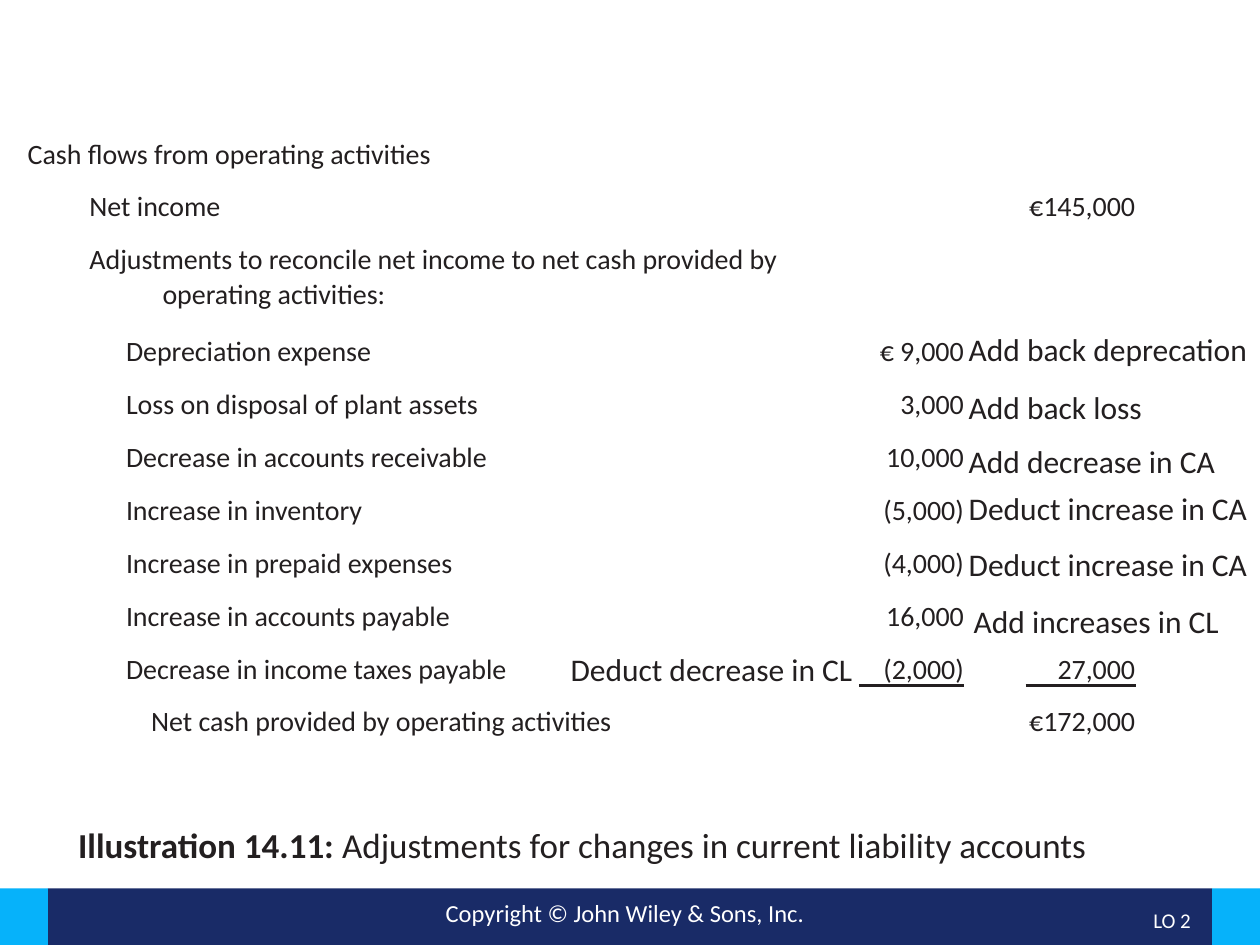
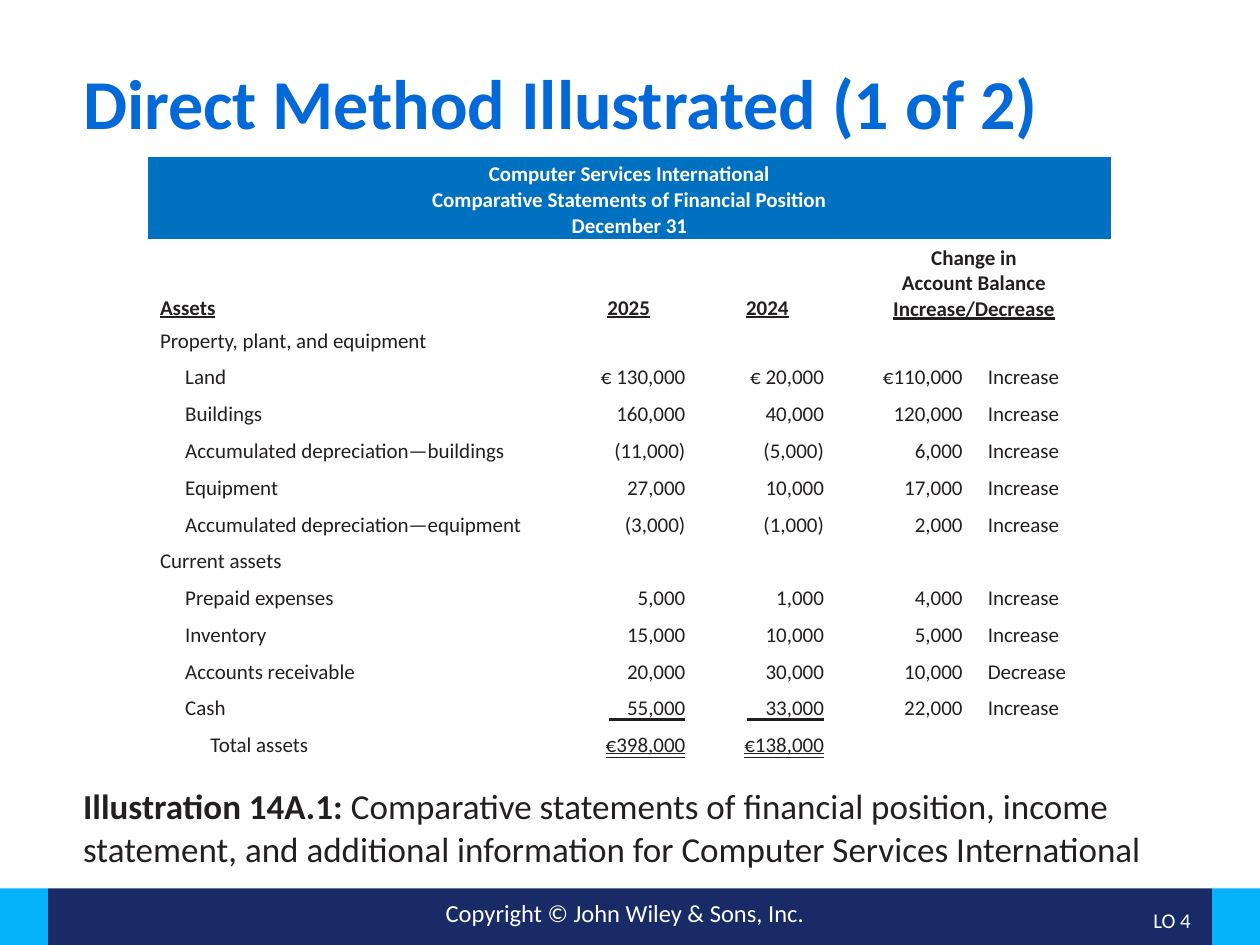
from lxml import etree
from pptx import Presentation
from pptx.dml.color import RGBColor
from pptx.enum import shapes, text
from pptx.oxml.ns import qn
from pptx.util import Inches, Pt

NAVY = RGBColor(0x19, 0x2B, 0x67)
CYAN = RGBColor(0x06, 0xB2, 0xFA)
BLUE = RGBColor(0x04, 0x69, 0xD8)
HEAD = RGBColor(0x00, 0x70, 0xC0)
INK = RGBColor(0x23, 0x1F, 0x20)
WHITE = RGBColor(0xFF, 0xFF, 0xFF)
FONT = "Calibri"
LEFT, MID, RIGHT = text.PP_ALIGN.LEFT, text.PP_ALIGN.CENTER, text.PP_ALIGN.RIGHT
TOP, CENTER, BOTTOM = (text.MSO_ANCHOR.TOP, text.MSO_ANCHOR.MIDDLE,
                       text.MSO_ANCHOR.BOTTOM)

# Shared content
COPY = "Copyright © John Wiley & Sons, Inc."
BANDS = [(0.38, 9.24, NAVY), (0, 0.38, CYAN), (9.62, 0.38, CYAN)]

# Cash flow content: margin and first-line indent, then the cells
ITEM = (0, 0.78)
FLOWS = [
    ((0, 0), "Cash flows from operating activities", "", ""),
    ((0, 0.49), "Net income", "", "€145,000"),
    ((1.07, -0.58), "Adjustments to reconcile net income to net cash "
     "provided by operating activities:", "", ""),
    (ITEM, "Depreciation expense", "€ 9,000", ""),
    (ITEM, "Loss on disposal of plant assets", "3,000", ""),
    (ITEM, "Decrease in accounts receivable", "10,000", ""),
    (ITEM, "Increase in inventory", "(5,000)", ""),
    (ITEM, "Increase in prepaid expenses", "(4,000)", ""),
    (ITEM, "Increase in accounts payable", "16,000", ""),
    (ITEM, "Decrease in income taxes payable", "(2,000)", "27,000"),
    ((0, 0.98), "Net cash provided by operating activities", "", "€172,000"),
]
NOTES = [
    (7.59, 2.57, "Add back deprecation"),
    (7.59, 3.03, "Add back loss"),
    (7.59, 3.46, "Add decrease in CA"),
    (7.59, 3.83, "Deduct increase in CA"),
    (7.59, 4.28, "Deduct increase in CA"),
    (7.63, 4.73, "Add increases in CL"),
    (4.43, 5.11, "Deduct decrease in CL"),
]

# Financial position content
BANNER = ("Computer Services International\n"
          "Comparative Statements of Financial Position\nDecember 31")
HEADS = ["Assets", "2025", "2024",
         "Change in\nAccount Balance\nIncrease/Decrease"]
ASSETS = [
    (0, "Property, plant, and equipment", "", "", "", ""),
    (0.2, "Land", "€ 130,000", "€ 20,000", "€110,000", "Increase"),
    (0.2, "Buildings", "160,000", "40,000", "120,000", "Increase"),
    (0.2, "Accumulated depreciation—buildings", "(11,000)", "(5,000)",
     "6,000", "Increase"),
    (0.2, "Equipment", "27,000", "10,000", "17,000", "Increase"),
    (0.2, "Accumulated depreciation—equipment", "(3,000)", "(1,000)",
     "2,000", "Increase"),
    (0, "Current assets", "", "", "", ""),
    (0.2, "Prepaid expenses", "5,000", "1,000", "4,000", "Increase"),
    (0.2, "Inventory", "15,000", "10,000", "5,000", "Increase"),
    (0.2, "Accounts receivable", "20,000", "30,000", "10,000", "Decrease"),
    (0.2, "Cash", "55,000", "33,000", "22,000", "Increase"),
    (0.4, "Total assets", "€398,000", "€138,000", "", ""),
]


def style(par, size, color=INK, bold=False, align=LEFT):
    par.alignment = align
    for run in par.runs:
        font = run.font
        font.name, font.size, font.bold = FONT, Pt(size), bold
        font.color.rgb = color


def indent(par, left, first=0):
    props = par._p.get_or_add_pPr()
    props.set("marL", str(Inches(left)))
    props.set("indent", str(Inches(first)))


def place(shape, x, y, w, h):
    shape.left, shape.top = Inches(x), Inches(y)
    shape.width, shape.height = Inches(w), Inches(h)


def label(slide, x, y, w, h, words, size, color=INK, align=LEFT, anchor=TOP):
    frame = slide.shapes.add_textbox(
        Inches(x), Inches(y), Inches(w), Inches(h)).text_frame
    frame.word_wrap = True
    frame.margin_right = Inches(0.1 if align != LEFT else 0)
    frame.vertical_anchor = anchor
    frame.text = words
    style(frame.paragraphs[0], size, color, align=align)


def grid(slide, x, y, cols, rows):
    """Add a plain table with the given column widths and row heights."""
    table = slide.shapes.add_table(
        len(rows), len(cols), Inches(x), Inches(y),
        Inches(sum(cols)), Inches(sum(rows))).table
    table.first_row = table.horz_banding = False
    for col, w in zip(table.columns, cols):
        col.width = Inches(w)
    for row, h in zip(table.rows, rows):
        row.height = Inches(h)
    return table


def fill(cell, words, size, color=INK, bold=False, align=LEFT,
         back=None, anchor=TOP, pad=3.6):
    cell.text = words
    cell.vertical_anchor = anchor
    cell.margin_top = cell.margin_bottom = Pt(pad)
    if back is None:
        cell.fill.background()
    else:
        cell.fill.solid()
        cell.fill.fore_color.rgb = back
    for par in cell.text_frame.paragraphs:
        style(par, size, color, bold, align)
        if not words:
            end = etree.SubElement(par._p, qn("a:endParaRPr"))
            end.set("sz", str(size * 100))


def rule(slide, x, y, w, weight):
    line = slide.shapes.add_connector(
        shapes.MSO_CONNECTOR.STRAIGHT,
        Inches(x), Inches(y), Inches(x + w), Inches(y))
    line.line.color.rgb = INK
    line.line.width = Pt(weight)
    etree.SubElement(line._element.spPr, qn("a:effectLst"))


def caption(slide, box, lead, rest, spacing):
    body = slide.placeholders[1]
    place(body, *box)
    frame = body.text_frame
    frame.auto_size = text.MSO_AUTO_SIZE.NONE
    par = frame.paragraphs[0]
    indent(par, 0)
    etree.SubElement(par._p.get_or_add_pPr(), qn("a:buNone"))
    par.space_before = Pt(0)
    par.line_spacing = spacing
    for words in (lead + " ", rest):
        par.add_run().text = words
    style(par, 20)
    par.runs[0].font.bold = True


def start(deck, goal):
    """Add a slide with the footer bands, copyright line and goal."""
    slide = deck.slides.add_slide(deck.slide_layouts[1])
    for x, w, color in BANDS:
        band = slide.shapes.add_shape(
            shapes.MSO_SHAPE.RECTANGLE,
            Inches(x), Inches(7.05), Inches(w), Inches(0.45))
        band.shadow.inherit = False
        band.fill.solid()
        band.fill.fore_color.rgb = color
        band.line.fill.background()
    label(slide, 2.5, 7.08, 4.92, 0.34, COPY, 14, WHITE, MID)
    label(slide, 8.73, 7.1, 0.82, 0.4, goal, 12, WHITE, RIGHT, CENTER)
    return slide


def flows(deck):
    slide = start(deck, "LO 2")
    title = slide.shapes.title._element
    title.getparent().remove(title)

    # Statement
    high = [0.73 if i == 2 else 0.42 for i in range(len(FLOWS))]
    table = grid(slide, 0.12, 1.04, [6.27, 1.36, 1.36], high)
    for r, (dent, *cells) in enumerate(FLOWS):
        for c, words in enumerate(cells):
            fill(table.cell(r, c), words, 16, align=RIGHT if c else LEFT)
        indent(table.cell(r, 0).text_frame.paragraphs[0], *dent)
    for x, w in ((6.82, 0.83), (8.14, 0.88)):
        rule(slide, x, 5.44, w, 1.75)

    # Margin notes
    for x, y, words in NOTES:
        label(slide, x, y, 2.4, 0.4, words, 18)
    caption(slide, (0.52, 6.52, 8.79, 0.42), "Illustration 14.11:",
            "Adjustments for changes in current liability accounts", 0.9)


def position(deck):
    slide = start(deck, "LO 4")
    title = slide.shapes.title
    place(title, 0.56, 0.5, 8.88, 0.93)
    frame = title.text_frame
    frame.text = "Direct Method Illustrated (1 of 2)"
    frame.auto_size = text.MSO_AUTO_SIZE.NONE
    frame.vertical_anchor = TOP
    frame.paragraphs[0].line_spacing = 0.9
    style(frame.paragraphs[0], 40, BLUE, True)

    # Banner and column heads
    x, name, sum_w = 1.17, 3.27, 1.1
    cols = [name, sum_w, sum_w, sum_w, 1.08]
    banner = grid(slide, x, 1.24, [sum(cols)], [0.69])
    fill(banner.cell(0, 0), BANNER, 12, WHITE, True, MID, HEAD, CENTER, 3.3)
    heads = grid(slide, x, 1.9, cols[:3] + [sum(cols[3:])], [0.66])
    for c, words in enumerate(HEADS):
        cell = heads.cell(0, c)
        fill(cell, words, 12, INK, True, MID if c else LEFT, WHITE, BOTTOM, 3.3)
        cell.text_frame.paragraphs[-1].runs[0].font.underline = True

    # Balances
    table = grid(slide, x, 2.56, cols, [0.29] * len(ASSETS))
    for r, (dent, *cells) in enumerate(ASSETS):
        for c, words in enumerate(cells):
            fill(table.cell(r, c), words, 12, back=WHITE, pad=3.3,
                 align=RIGHT if 0 < c < 4 else LEFT)
        indent(table.cell(r, 0).text_frame.paragraphs[0], dent)
    for c in (1, 2):
        total = table.cell(len(ASSETS) - 1, c).text_frame.paragraphs[0]
        total.runs[0].font.underline = text.MSO_UNDERLINE.DOUBLE_LINE
        rule(slide, x + name + c * sum_w - 0.71, 5.71, 0.61, 1.25)
    caption(slide, (0.56, 6.18, 8.88, 0.77), "Illustration 14A.1:",
            "Comparative statements of financial position, income statement, "
            "and additional information for Computer Services International",
            1.0)


def main():
    deck = Presentation()
    deck.slide_width, deck.slide_height = Inches(10), Inches(7.5)
    flows(deck)
    position(deck)
    deck.save("out.pptx")


if __name__ == "__main__":
    main()
